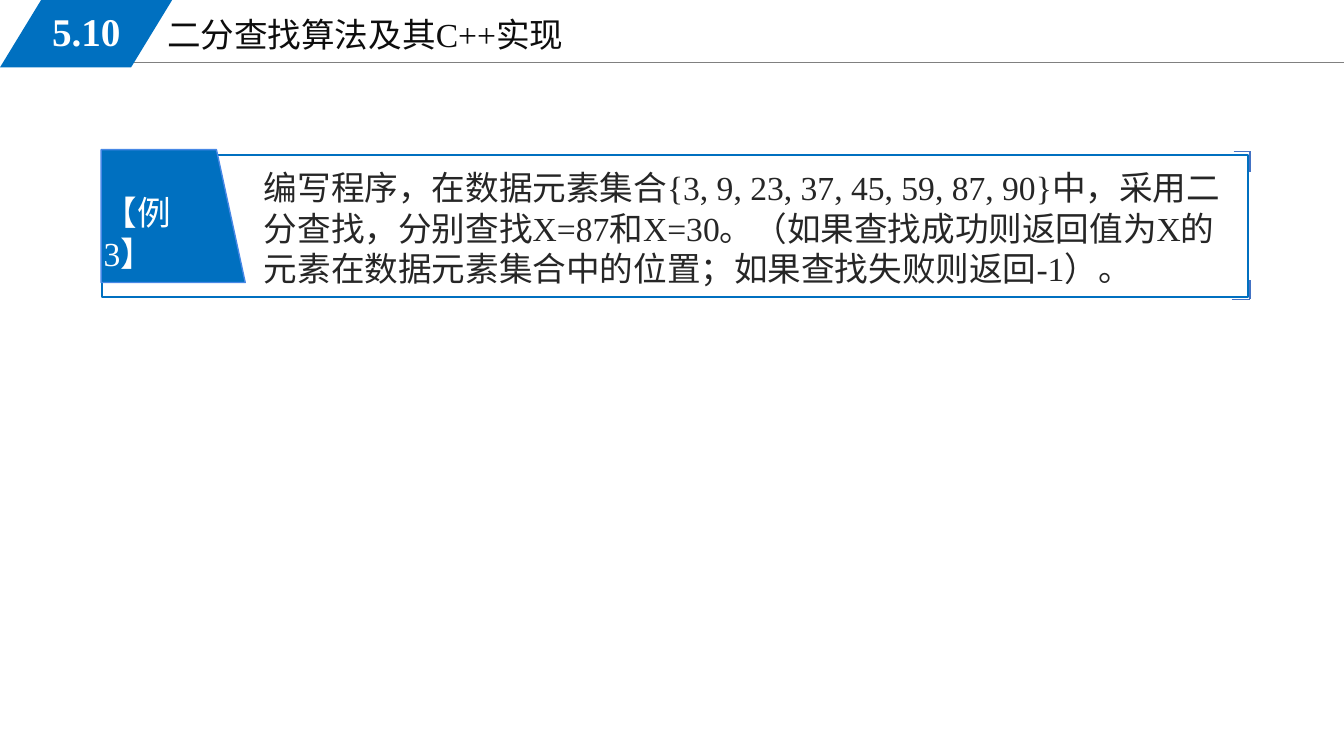
from dataclasses import dataclass

import pptx
import pptx.dml.color
import pptx.enum.shapes
import pptx.enum.text
import pptx.util
from pptx.oxml.ns import qn
from pptx.util import Cm
from lxml import etree

SHAPE = pptx.enum.shapes.MSO_SHAPE
ALIGN = pptx.enum.text.PP_ALIGN
ANCHOR = pptx.enum.text.MSO_ANCHOR


@dataclass(frozen=True)
class Theme:
    font: str = "Times New Roman"
    blue: str = "0070C0"
    tab_edge: str = "4788E6"
    bracket: str = "4472C4"
    rule: str = "808080"
    title: str = "0D0D0D"
    body: str = "262626"
    white: str = "FFFFFF"
    text_size: int = 24
    number_size: int = 28


THEME = Theme()


def rgb(value):
    return pptx.dml.color.RGBColor.from_string(value)


def add_text(slide, text, left, top, width, height, *, color, size=THEME.text_size,
             bold=False, align=ALIGN.LEFT, anchor=ANCHOR.TOP):
    box = slide.shapes.add_textbox(Cm(left), Cm(top), Cm(width), Cm(height))
    frame = box.text_frame
    frame.word_wrap = True
    frame.auto_size = pptx.enum.text.MSO_AUTO_SIZE.SHAPE_TO_FIT_TEXT
    frame.vertical_anchor = anchor
    paragraph = frame.paragraphs[0]
    paragraph.alignment = align
    run = paragraph.add_run()
    run.text = text
    run.font.name = THEME.font
    run.font.size = pptx.util.Pt(size)
    run.font.bold = bold
    run.font.color.rgb = rgb(color)


def add_panel(slide, kind, left, top, width, height, *, fill=None, line=None):
    shape = slide.shapes.add_shape(kind, Cm(left), Cm(top), Cm(width), Cm(height))
    shape.shadow.inherit = False
    if fill:
        shape.fill.solid()
        shape.fill.fore_color.rgb = rgb(fill)
    else:
        shape.fill.background()
    if line:
        shape.line.color.rgb = rgb(line)
        shape.line.width = pptx.util.Pt(1)
    else:
        shape.line.fill.background()
    return shape


def add_line(slide, start, end, *, color, width=1):
    connector = slide.shapes.add_connector(
        pptx.enum.shapes.MSO_CONNECTOR.STRAIGHT,
        Cm(start[0]), Cm(start[1]), Cm(end[0]), Cm(end[1]))
    connector.line.color.rgb = rgb(color)
    connector.line.width = pptx.util.Pt(width)
    properties = connector._element.find(qn("p:spPr"))
    etree.SubElement(properties, qn("a:effectLst"))


def add_corner(slide, x, y, arm_x, arm_y):
    """Draw a corner bracket at (x, y) with arms reaching to arm_x and arm_y."""
    add_line(slide, (arm_x, y), (x, y), color=THEME.bracket)
    add_line(slide, (x, y), (x, arm_y), color=THEME.bracket)


def add_header(slide, number, title):
    add_line(slide, (2.87, 1.57), (33.87, 1.57), color=THEME.rule, width=0.75)
    add_text(slide, title, 3.96, 0.23, 14.4, 1.3, color=THEME.title)
    badge = add_panel(slide, SHAPE.PARALLELOGRAM, 0, 0, 4.34, 1.7, fill=THEME.blue)
    badge.adjustments[0] = 0.61
    add_text(slide, number, 0.64, 0.05, 3.07, 1.47, color=THEME.white,
             size=THEME.number_size, bold=True, align=ALIGN.CENTER,
             anchor=ANCHOR.MIDDLE)


def add_example(slide, label, text):
    add_panel(slide, SHAPE.RECTANGLE, 2.57, 3.91, 28.88, 3.58, line=THEME.blue)
    tab = add_panel(slide, SHAPE.FLOWCHART_MANUAL_INPUT, 2.69, 3.63, 3.35, 3.63,
                    fill=THEME.blue, line=THEME.tab_edge)
    tab.rotation = 90
    add_text(slide, label, 2.36, 4.72, 3.3, 1.27, color=THEME.white)
    add_text(slide, text, 6.4, 4.09, 25.04, 3.33, color=THEME.body)
    add_corner(slide, 31.5, 3.81, 31.09, 4.34)
    add_corner(slide, 31.5, 7.54, 31.04, 7.06)


def main():
    presentation = pptx.Presentation()
    presentation.slide_width = Cm(33.87)
    presentation.slide_height = Cm(19.05)
    slide = presentation.slides.add_slide(presentation.slide_layouts[6])
    add_header(slide, "5.10", "二分查找算法及其C++实现")
    add_example(
        slide, "【例3】",
        "编写程序，在数据元素集合{3, 9, 23, 37, 45, 59, 87, 90}中，采用二分查找，"
        "分别查找X=87和X=30。（如果查找成功则返回值为X的元素在数据元素集合中的位置；"
        "如果查找失败则返回-1）。")
    presentation.save("out.pptx")


if __name__ == "__main__":
    main()
